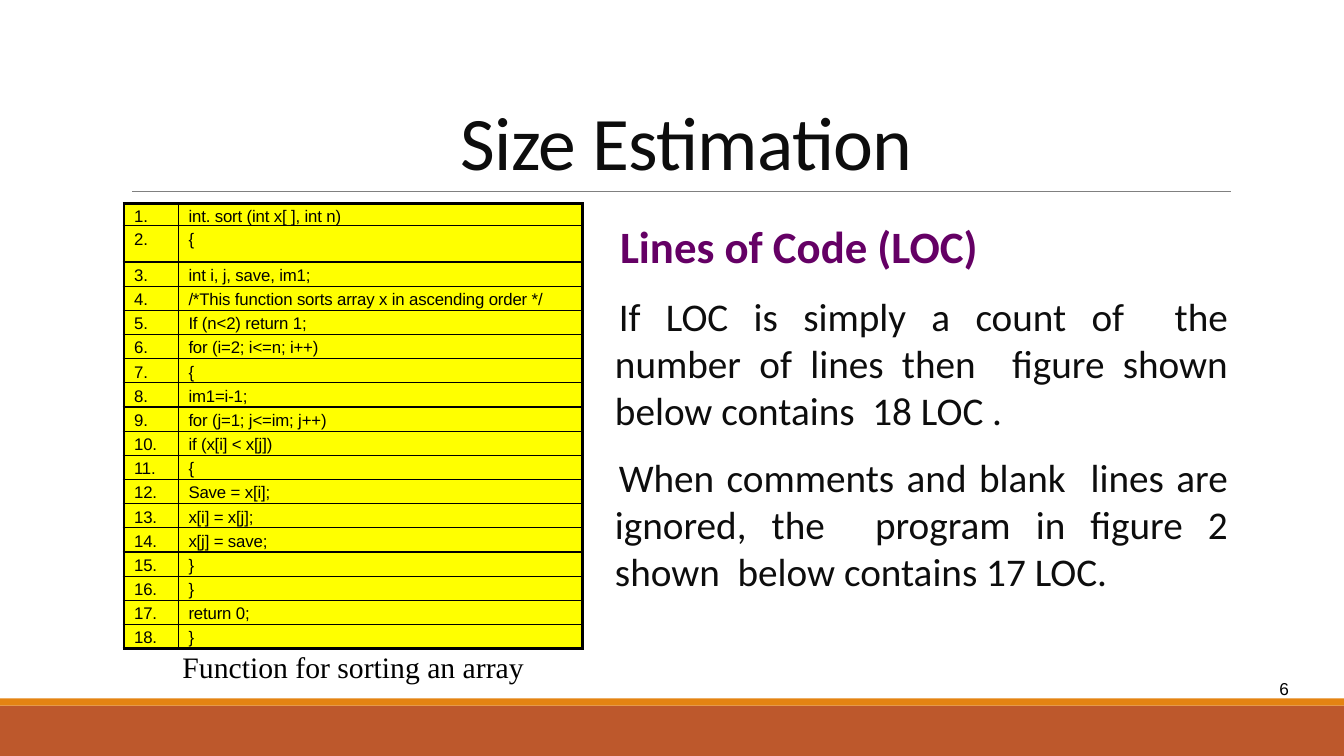
from lxml import etree
from pptx import Presentation
from pptx.dml.color import RGBColor
from pptx.enum.shapes import MSO_CONNECTOR as Connector, MSO_SHAPE as Shape
from pptx.enum.text import MSO_ANCHOR as Anchor, MSO_AUTO_SIZE as AutoSize, PP_ALIGN as Align
from pptx.oxml import parse_xml
from pptx.oxml.ns import nsdecls, qn
from pptx.util import Inches, Pt

BLACK = RGBColor(0x00, 0x00, 0x00)
INK = RGBColor(0x0D, 0x0D, 0x0D)
PURPLE = RGBColor(0x65, 0x00, 0x65)
YELLOW = RGBColor(0xFF, 0xFF, 0x00)
RUST = RGBColor(0xBD, 0x58, 0x2C)
ORANGE = RGBColor(0xE4, 0x83, 0x12)
GRAY = RGBColor(0x80, 0x80, 0x80)

CODE_LINES = [
    "int. sort (int x[ ], int n)",
    "{",
    "int i, j, save, im1;",
    "/*This function sorts array x in ascending order */",
    "If (n<2) return 1;",
    "for (i=2; i<=n; i++)",
    "{",
    "im1=i-1;",
    "for (j=1; j<=im; j++)",
    "if (x[i] < x[j])",
    "{",
    "Save = x[i];",
    "x[i] = x[j];",
    "x[j] = save;",
    "}",
    "}",
    "return 0;",
    "}",
]
BODY = [
    ("Lines of Code (LOC)", 32, PURPLE, True, 9.5, 0.04),
    ("If LOC is simply a count of  the number of lines then  figure shown below contains  18 LOC .",
     28, INK, False, 12, 0.05),
    ("When comments and blank  lines are ignored, the  program in figure 2 shown  below contains 17 LOC.",
     28, INK, False, 12, 0.05),
]


def style_text(para, font_name, size, color, left=0, first=0, spacing=0):
    properties = para._p.get_or_add_pPr()
    properties.set("marL", str(Inches(left)))
    properties.set("indent", str(Inches(first)))
    for span in para.runs:
        span.font.name = font_name
        span.font.size = Pt(size)
        span.font.color.rgb = color
        span._r.get_or_add_rPr().set("spc", str(spacing))


def set_frame(frame, top=0, anchor=Anchor.TOP):
    frame.word_wrap = True
    frame.auto_size = AutoSize.NONE
    frame.vertical_anchor = anchor
    frame.margin_left = frame.margin_right = frame.margin_bottom = 0
    frame.margin_top = Inches(top)


deck = Presentation()
deck.slide_width = Inches(13.33)
deck.slide_height = Inches(7.5)
page = deck.slides.add_slide(deck.slide_layouts[5])

for top, height, color in [(7, 0.5, RUST), (6.93, 0.07, ORANGE)]:
    band = page.shapes.add_shape(Shape.RECTANGLE, 0, Inches(top), deck.slide_width, Inches(height))
    band.shadow.inherit = False
    band.fill.solid()
    band.fill.fore_color.rgb = color
    band.line.fill.background()

rule = page.shapes.add_connector(
    Connector.STRAIGHT, Inches(1.31), Inches(1.9), Inches(12.21), Inches(1.9))
rule.line.color.rgb = GRAY
rule.line.width = Pt(0.5)
etree.SubElement(rule._element.spPr, qn("a:effectLst"))

last = len(CODE_LINES) - 1
listing = page.shapes.add_table(
    len(CODE_LINES), 2, Inches(1.23), Inches(2.02), Inches(4.55), Inches(4.42)).table
listing.first_row = False
listing.horz_banding = False
listing.columns[0].width = Inches(0.54)
listing.columns[1].width = Inches(4.01)
for row, code in enumerate(CODE_LINES):
    listing.rows[row].height = Inches({0: 0.22, 1: 0.36}.get(row, 0.24))
    for column, text in enumerate([f"{row + 1}.", code]):
        cell = listing.cell(row, column)
        cell.margin_left = cell.margin_right = cell.margin_top = cell.margin_bottom = 0
        para = cell.text_frame.paragraphs[0]
        para.text = text
        para.line_spacing = Pt(15.7 if row == 0 else 16.4)
        style_text(para, "Arial", 12, BLACK, left=0.1, spacing=-10)
        outer_edges = {"lnL": column == 0, "lnR": column == 1, "lnT": row == 0, "lnB": row == last}
        for edge, outer in outer_edges.items():
            width = Pt(2.25 if outer else 1)
            cell._tc.get_or_add_tcPr().append(parse_xml(
                f'<a:{edge} {nsdecls("a")} w="{width}"><a:solidFill>'
                f'<a:srgbClr val="{BLACK}"/></a:solidFill></a:{edge}>'))
        cell.fill.solid()
        cell.fill.fore_color.rgb = YELLOW

title = page.shapes.title
title.left, title.top = Inches(4.56), Inches(0.92)
title.width, title.height = Inches(8.77), Inches(0.92)
set_frame(title.text_frame, 0.01, Anchor.BOTTOM)
title.text_frame.text = "Size Estimation"
heading = title.text_frame.paragraphs[0]
heading.alignment = Align.JUSTIFY
heading.space_before = Pt(0.8)
style_text(heading, "Calibri", 54, INK, left=0.01, spacing=-50)

body = page.shapes.add_textbox(Inches(6.05), Inches(2.01), Inches(6.13), Inches(3.92))
set_frame(body.text_frame, 0.16)
body.text_frame.text = "\n".join(item[0] for item in BODY)
for para, (text, size, color, bold, before, left) in zip(body.text_frame.paragraphs, BODY):
    para.alignment = Align.JUSTIFY
    para.line_spacing = 1.0
    para.space_before = Pt(before)
    para.space_after = Pt(2)
    para.runs[0].font.bold = bold
    style_text(para, "Calibri", size, color, left=left, first=-0.1)
    properties = para._p.get_or_add_pPr()
    bullet_color = etree.SubElement(properties, qn("a:buClr"))
    etree.SubElement(bullet_color, qn("a:srgbClr"), val=str(ORANGE))
    etree.SubElement(properties, qn("a:buFont"), typeface="Calibri")
    etree.SubElement(properties, qn("a:buChar"), char=" ")

caption = page.shapes.add_textbox(Inches(1.8), Inches(6.43), Inches(4.25), Inches(0.37))
set_frame(caption.text_frame, 0.01)
caption.text_frame.text = "Function for sorting an array"
caption_para = caption.text_frame.paragraphs[0]
caption_para.space_before = Pt(0.9)
style_text(caption_para, "Times New Roman", 21.2, BLACK, left=0.01)

number = page.shapes.add_textbox(Inches(12.65), Inches(6.75), Inches(0.27), Inches(0.18))
set_frame(number.text_frame)
number.text_frame.text = "6"
number_para = number.text_frame.paragraphs[0]
number_para.line_spacing = Pt(12.9)
style_text(number_para, "Arial", 12.3, BLACK, left=0.04)

deck.save("out.pptx")
